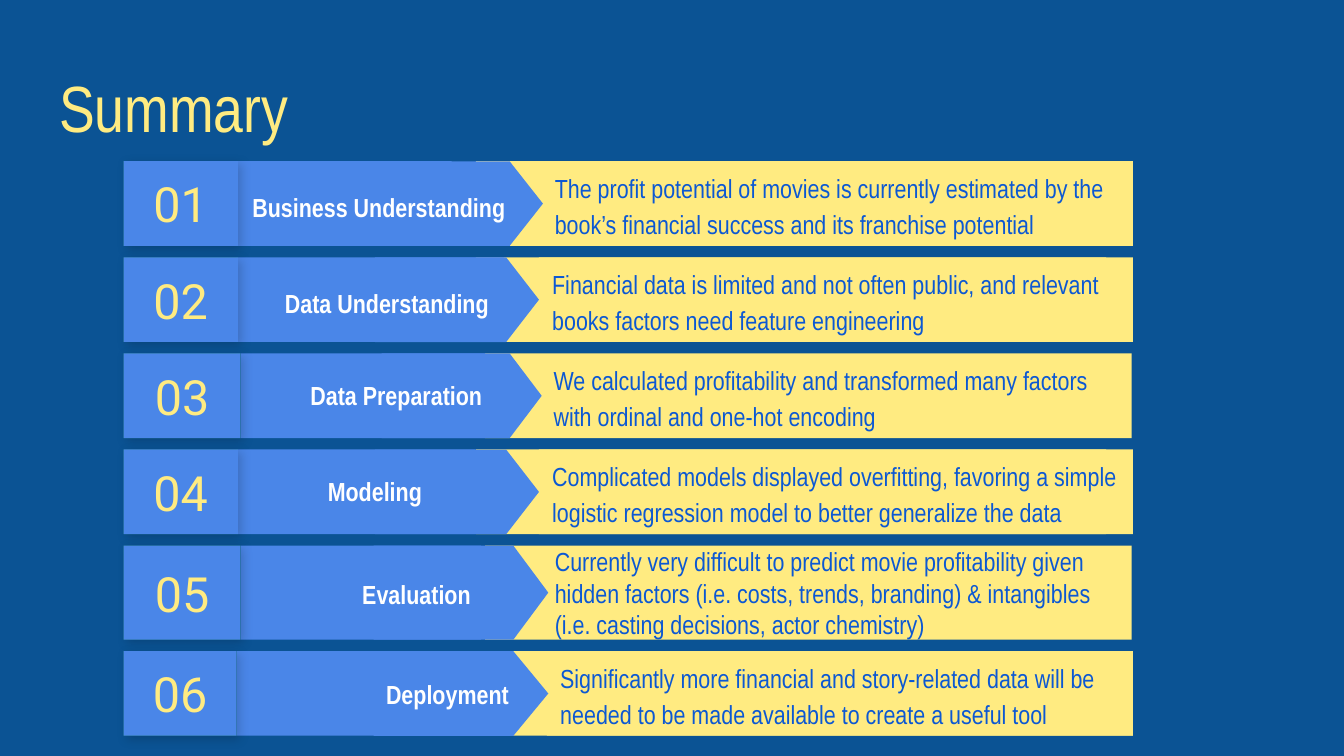
"""Build the Summary slide: six numbered steps with a label arrow and a finding."""
from lxml import etree
from pptx import Presentation
from pptx.dml.color import RGBColor
from pptx.enum.shapes import MSO_SHAPE
from pptx.enum.text import MSO_ANCHOR, MSO_AUTO_SIZE, PP_ALIGN
from pptx.oxml.ns import qn
from pptx.util import Inches, Pt

RECT, ARROW = MSO_SHAPE.RECTANGLE, MSO_SHAPE.FLOWCHART_OFFPAGE_CONNECTOR
LEFT, CENTER = PP_ALIGN.LEFT, PP_ALIGN.CENTER
TOP, MIDDLE = MSO_ANCHOR.TOP, MSO_ANCHOR.MIDDLE
NAVY, BLUE = RGBColor(0x0B, 0x53, 0x94), RGBColor(0x4A, 0x86, 0xE8)
YELLOW, TEAL = RGBColor(0xFF, 0xEB, 0x81), RGBColor(0x1D, 0x7E, 0x74)
INK, WHITE = RGBColor(0x0C, 0x58, 0xD3), RGBColor(0xFF, 0xFF, 0xFF)

TITLE_FONT = {"name": "Arial Narrow", "size": Pt(35), "color": YELLOW, "bold": False}
NUMBER_FONT = {"name": "Roboto", "size": Pt(26), "color": YELLOW}
LABEL_FONT = {"name": "Arial Narrow", "size": Pt(14), "color": WHITE, "bold": True}
BODY_FONT = {"name": "Arial Narrow", "size": Pt(14), "color": INK}

STEPS = [
    {"label": "Business Understanding", "label_box": (1.78, 0.08, 3, 0.48), "align": LEFT,
     "body": "The profit potential of movies is currently estimated by the book’s financial "
             "success and its franchise potential",
     "tile": 0.85, "bar": 1.59, "arrow": (2.8, 1.24), "panel": (3.54, 4.69), "body_x": 4.03},
    {"label": "Data Understanding", "label_box": (1.85, 0.08, 2.06, 0.48),
     "body": "Financial data is limited and not often public, and relevant books factors "
             "need feature engineering",
     "tile": 0.85, "bar": 1.98, "arrow": (2.79, 1.22), "panel": (3.54, 4.69), "body_x": 4.01},
    {"label": "Data Preparation", "label_box": (1.88, 0.07, 2.14, 0.45), "plain": True,
     "body": "We calculated profitability and transformed many factors with ordinal and "
             "one-hot encoding",
     "tile": 0.87, "bar": 1.82, "arrow": (2.84, 1.19), "panel": (3.61, 4.81), "body_x": 4.02},
    {"label": "Modeling", "label_box": (2.02, 0.07, 1.54, 0.44),
     "body": "Complicated models displayed overfitting, favoring a simple logistic regression "
             "model to better generalize the data",
     "tile": 0.85, "bar": 1.77, "arrow": (2.79, 1.22), "panel": (3.54, 4.69), "body_x": 4.01},
    {"label": "Evaluation", "label_box": (2.17, 0.12, 1.86, 0.44), "plain": True,
     "body": "Currently very difficult to predict movie profitability given hidden factors "
             "(i.e. costs, trends, branding) & intangibles (i.e. casting decisions, actor chemistry)",
     "height": 0.7, "spacing": 1.0,
     "tile": 0.87, "bar": 1.79, "arrow": (2.78, 1.3), "panel": (3.61, 4.81), "body_x": 4.03},
    {"label": "Deployment", "label_box": (2.43, 0.1, 1.8, 0.4),
     "body": "Significantly more financial and story-related data will be needed to be made "
             "available to create a useful tool",
     "tile": 0.84, "bar": 1.73, "arrow": (2.78, 1.3), "panel": (3.57, 4.86), "body_x": 4.07},
]
FIRST_TOP, ROW_HEIGHT, ROW_GAP = 1.2, 0.63, 0.085
TILE_LEFT, BODY_RIGHT = 0.92, 8.43


def write(sp, text, font, align=LEFT, anchor=MIDDLE, spacing=1.0):
    tf = sp.text_frame
    frame = {"word_wrap": True, "auto_size": MSO_AUTO_SIZE.NONE, "vertical_anchor": anchor}
    frame.update({f"margin_{side}": Inches(0.1) for side in ("left", "top", "right", "bottom")})
    for name, value in frame.items():
        setattr(tf, name, value)
    p = tf.paragraphs[0]
    p.alignment, p.line_spacing = align, spacing
    r = p.add_run()
    r.text = text
    for name, value in font.items():
        if name == "color":
            r.font.color.rgb = value
        else:
            setattr(r.font, name, value)


def add_block(s, box, color, kind=RECT):
    sp = s.shapes.add_shape(kind, *map(Inches, box))
    sp.shadow.inherit = False
    sp.fill.solid()
    sp.fill.fore_color.rgb = color
    sp.line.fill.background()
    return sp


def add_shadow(sp):
    effects = sp.element.spPr.find(qn("a:effectLst"))
    shadow = etree.SubElement(effects, qn("a:outerShdw"), blurRad=str(Pt(5.6)),
                              dist=str(Pt(2.2)), dir="2700000", algn="bl", rotWithShape="0")
    color = etree.SubElement(shadow, qn("a:srgbClr"), val="000000")
    etree.SubElement(color, qn("a:alpha"), val="17000")


def add_step(s, number, step, top, height):
    panel_left, panel_width = step["panel"]
    add_block(s, (panel_left, top, panel_width, height), YELLOW)
    add_block(s, (TILE_LEFT + step["tile"], top, step["bar"], height), BLUE)

    tile = (TILE_LEFT, top, step["tile"], height)
    add_shadow(add_block(s, tile, TEAL))
    write(add_block(s, tile, BLUE), f"{number:02}", NUMBER_FONT, CENTER)

    body_box = (step["body_x"], top, BODY_RIGHT - step["body_x"], height)
    if step.get("plain"):
        body = s.shapes.add_textbox(*map(Inches, body_box))
    else:
        body = add_block(s, body_box, YELLOW)
    write(body, step["body"], BODY_FONT, spacing=step.get("spacing", 1.15))

    arrow_left, length = step["arrow"]
    inset = (length - height) / 2
    arrow = add_block(s, (arrow_left + inset, top - inset, height, length), BLUE, ARROW)
    arrow.rotation = 270

    left, offset, width, label_height = step["label_box"]
    label = s.shapes.add_textbox(*map(Inches, (left, top + offset, width, label_height)))
    write(label, step["label"], LABEL_FONT, step.get("align", CENTER), spacing=1.15)


def main():
    prs = Presentation()
    prs.slide_width, prs.slide_height = Inches(10), Inches(10 * 9 / 16)
    s = prs.slides.add_slide(prs.slide_layouts[5])
    s.background.fill.solid()
    s.background.fill.fore_color.rgb = NAVY

    title = s.shapes.title
    box = {"left": 0.34, "top": 0.4, "width": 8.81, "height": 0.63}
    for name, value in box.items():
        setattr(title, name, Inches(value))
    write(title, "Summary", TITLE_FONT, anchor=TOP)

    top = FIRST_TOP
    for number, step in enumerate(STEPS, 1):
        height = step.get("height", ROW_HEIGHT)
        add_step(s, number, step, top, height)
        top += height + ROW_GAP
    prs.save("out.pptx")


if __name__ == "__main__":
    main()
